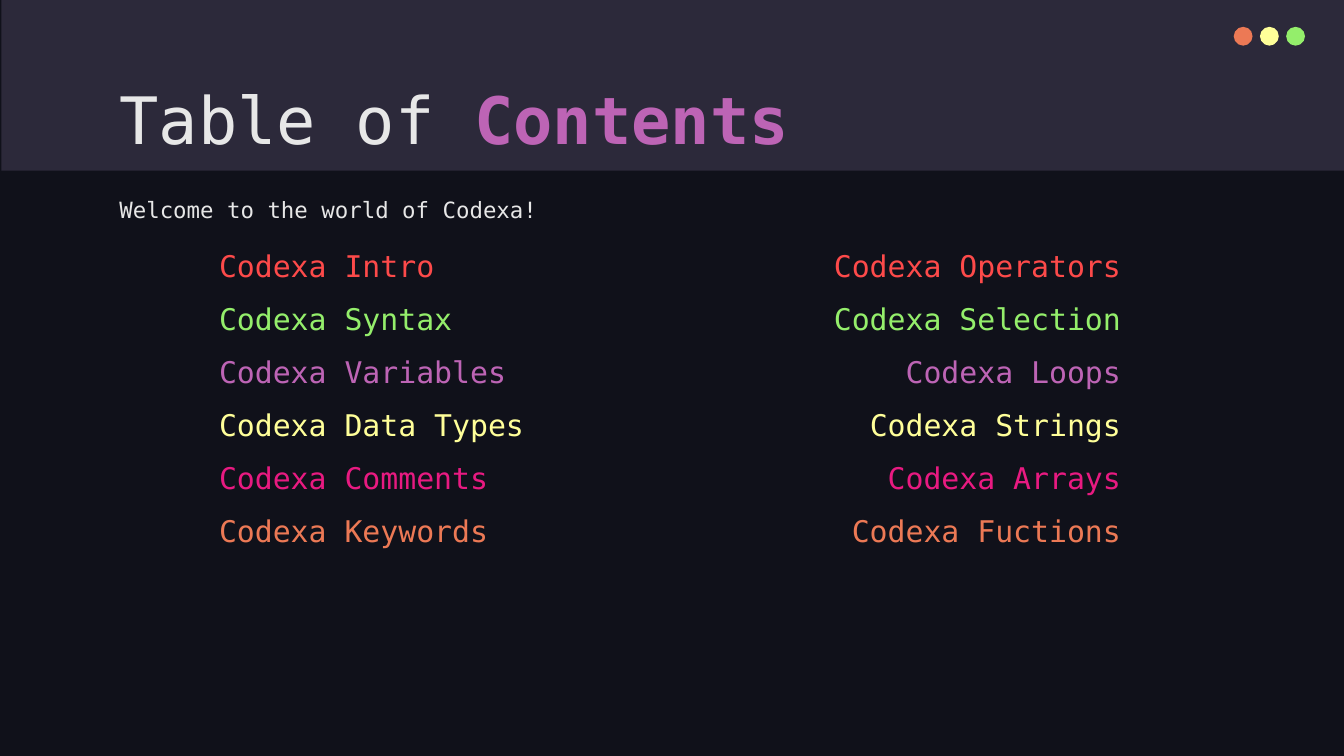
from typing import NamedTuple

from pptx import Presentation
from pptx.dml.color import RGBColor
from pptx.enum.shapes import MSO_SHAPE
from pptx.enum.text import MSO_ANCHOR, PP_ALIGN
from pptx.oxml.ns import qn
from pptx.util import Inches, Pt
from lxml.etree import SubElement

FONT = "DejaVu Sans Mono"
NIGHT = RGBColor(0x10, 0x11, 0x1A)
SLATE = RGBColor(0x2C, 0x29, 0x3A)
WHITE = RGBColor(0xE7, 0xE7, 0xE7)
RED = RGBColor(0xFD, 0x4A, 0x4A)
GREEN = RGBColor(0x94, 0xEE, 0x6B)
PURPLE = RGBColor(0xBD, 0x64, 0xB5)
YELLOW = RGBColor(0xFF, 0xFF, 0x99)
PINK = RGBColor(0xE8, 0x1A, 0x81)
ORANGE = RGBColor(0xEC, 0x79, 0x55)

TINTS = (RED, GREEN, PURPLE, YELLOW, PINK, ORANGE)
COLS = (2.73, 5.7)
TALL = 2.37


class Topics(NamedTuple):
    left: float
    align: PP_ALIGN
    names: tuple[str, ...]


LISTS = (
    Topics(1.53, PP_ALIGN.LEFT,
           ("Intro", "Syntax", "Variables", "Data Types", "Comments", "Keywords")),
    Topics(5.71, PP_ALIGN.RIGHT,
           ("Operators", "Selection", "Loops", "Strings", "Arrays", "Fuctions")),
)


def add_run(para, text: str, size: float, color: RGBColor, bold: bool = False) -> None:
    run = para.add_run()
    run.text = text
    font = run.font
    font.name, font.size, font.bold = FONT, Pt(size), bold
    font.color.rgb = color


def add_fill(slide, kind: MSO_SHAPE, box: tuple[float, ...], color: RGBColor) -> None:
    shape = slide.shapes.add_shape(kind, *map(Inches, box))
    shape.shadow.inherit = False
    shape.fill.solid()
    shape.fill.fore_color.rgb = color
    shape.line.fill.background()


def set_frame(frame) -> None:
    frame.word_wrap = True
    frame.vertical_anchor = MSO_ANCHOR.TOP
    frame.margin_left = frame.margin_right = Inches(0.1)
    frame.margin_top = frame.margin_bottom = Inches(0.1)


def clear_cell(cell) -> None:
    """Leave a cell with neither borders nor fill."""
    props = cell._tc.get_or_add_tcPr()
    for side in ("lnL", "lnR", "lnT", "lnB"):
        SubElement(SubElement(props, qn(f"a:{side}")), qn("a:noFill"))
    cell.fill.background()
    cell.vertical_anchor = MSO_ANCHOR.MIDDLE
    cell.margin_left = cell.margin_right = Inches(0.1)
    cell.margin_top = cell.margin_bottom = 0


def add_list(slide, topics: Topics) -> None:
    count = len(topics.names)
    frame = slide.shapes.add_table(
        count, len(COLS), Inches(topics.left), Inches(1.79),
        Inches(sum(COLS)), Inches(TALL))
    table = frame.table
    table.first_row = table.horz_banding = False
    for col, width in zip(table.columns, COLS):
        col.width = Inches(width)
    for row, name, tint in zip(table.rows, topics.names, TINTS):
        row.height = Inches(TALL / count)
        for cell in row.cells:
            clear_cell(cell)
        para = row.cells[0].text_frame.paragraphs[0]
        para.alignment = topics.align
        add_run(para, f"Codexa {name}", 16, tint)


def main() -> None:
    # Widescreen, 16 to 9
    deck = Presentation()
    deck.slide_width = Inches(10)
    deck.slide_height = Inches(10 * 9 / 16)
    slide = deck.slides.add_slide(deck.slide_layouts[5])
    slide.background.fill.solid()
    slide.background.fill.fore_color.rgb = NIGHT
    title = slide.shapes.title

    # Header band and window dots
    add_fill(slide, MSO_SHAPE.RECTANGLE, (0.01, 0, 10, 1.27), SLATE)
    for i, color in enumerate((ORANGE, YELLOW, GREEN)):
        add_fill(slide, MSO_SHAPE.OVAL, (9.18 + 0.195 * i, 0.2, 0.14, 0.14), color)

    # Title, brought in front of the band
    slide.shapes._spTree.append(title._element)
    title.left, title.top = Inches(0.79), Inches(0.49)
    title.width, title.height = Inches(8.43), Inches(0.63)
    set_frame(title.text_frame)
    para = title.text_frame.paragraphs[0]
    para.alignment = PP_ALIGN.LEFT
    add_run(para, "Table of ", 35, WHITE)
    add_run(para, "Contents", 35, PURPLE, bold=True)

    # Welcome line
    intro = slide.shapes.add_textbox(
        Inches(0.79), Inches(1.33), Inches(8.43), Inches(3.08))
    set_frame(intro.text_frame)
    para = intro.text_frame.paragraphs[0]
    para.line_spacing = 1.15
    add_run(para, "Welcome to the world of Codexa!", 12, WHITE)

    # Topic lists
    for topics in LISTS:
        add_list(slide, topics)

    deck.save("out.pptx")


if __name__ == "__main__":
    main()
